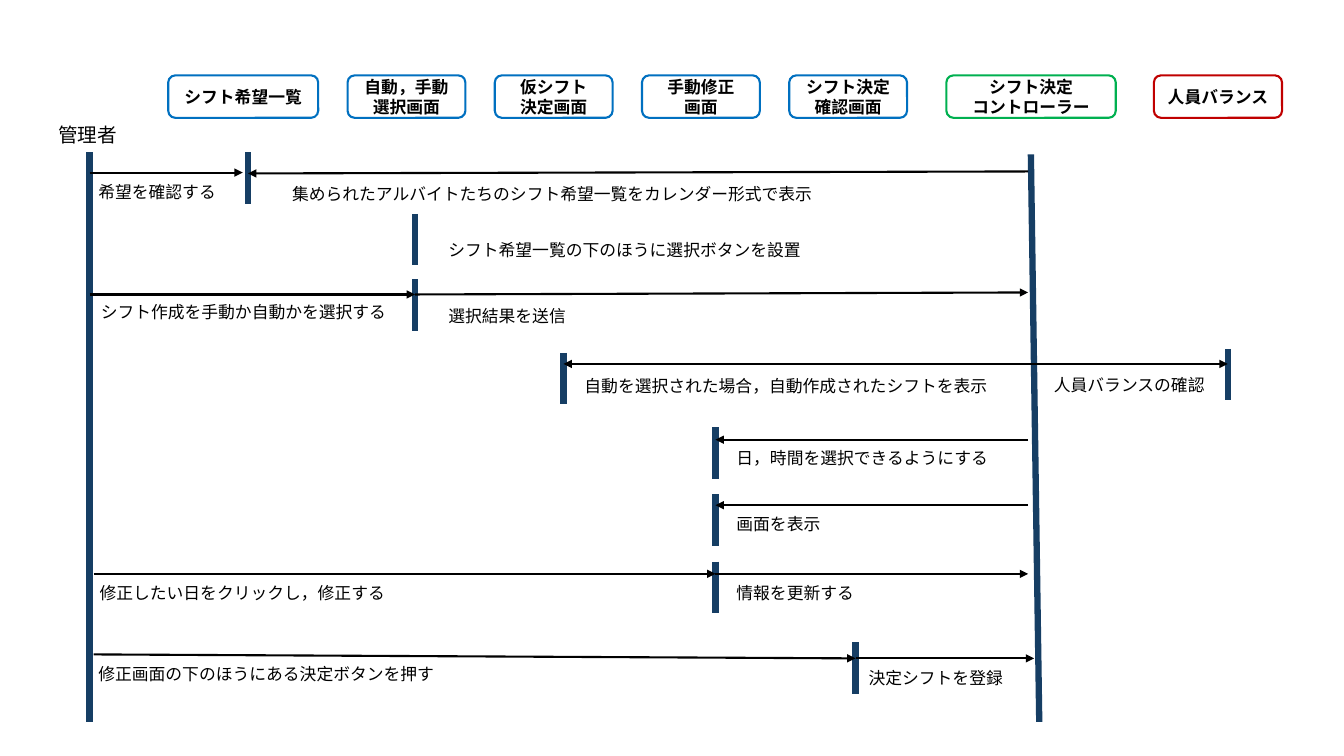
from lxml.etree import SubElement
from pptx import Presentation
from pptx.dml.color import RGBColor
from pptx.enum.shapes import MSO_CONNECTOR, MSO_SHAPE
from pptx.enum.text import MSO_ANCHOR, PP_ALIGN
from pptx.oxml.ns import qn
from pptx.util import Cm, Pt

FONT = "Noto Sans CJK JP"
SCREEN, CONTROL, ENTITY = "0070C0", "00B050", "C00000"
BAR, INK = "163E64", "000000"

# Lifeline positions, in cm from the left of the diagram
X = {"admin": 0, "list": 3.99, "choice": 8.2, "draft": 11.94, "edit": 15.77,
     "confirm": 19.3, "control": 23.65, "balance": 28.68}
BAR_HEIGHT = 1.3
SCREEN_PITCH = 3.71

# Participant: text, left, width, outline
PARTICIPANTS = [("シフト希望一覧", 0, 3.78, SCREEN)]
PARTICIPANTS += [
    (text, 4.52 + i * SCREEN_PITCH, 2.97, SCREEN)
    for i, text in enumerate(["自動，手動\n選択画面", "仮シフト\v決定画面",
                              "手動修正\v画面", "シフト決定\v確認画面"])]
PARTICIPANTS += [("シフト決定\vコントローラー", 19.61, 4.27, CONTROL),
                 ("人員バランス", 24.84, 3.23, ENTITY)]

# Activation bar: lifeline, top
ACTIVATIONS = [("list", 0), ("choice", 1.55), ("choice", 3.2), ("draft", 5.05),
               ("balance", 4.95), ("edit", 6.93), ("edit", 8.61),
               ("edit", 10.31), ("confirm", 12.34)]

# Arrow: start x, start y, end x, end y
ARROWS = [
    (X["admin"], 0.51, 3.86, 0.51),
    (X["control"], 0.48, X["list"], 0.53),
    (X["admin"], 3.58, X["choice"], 3.58),
    (X["choice"], 3.58, X["control"], 3.53),
    (23.72, 5.33, X["draft"], 5.33),
    (20.47, 5.33, X["balance"], 5.33),
    (X["control"], 7.24, X["edit"], 7.24),
    (X["control"], 8.89, X["edit"], 8.89),
    (0.1, 10.62, X["edit"], 10.62),
    (X["edit"], 10.62, X["control"], 10.62),
    (0.1, 12.65, X["confirm"], 12.75),
    (X["confirm"], 12.75, 23.8, 12.75),
]

# Message: text, left, top, width
MESSAGES = [
    ("希望を確認する", -0.03, 0.61, 3.86),
    ("集められたアルバイトたちのシフト希望一覧をカレンダー形式で表示", 4.85, 0.66, 15.01),
    ("シフト希望一覧の下のほうに選択ボタンを設置", 8.79, 2.08, 11.51),
    ("シフト作成を手動か自動かを選択する", 0.03, 3.63, 7.77),
    ("選択結果を送信", 8.79, 3.73, 11.51),
    ("自動を選択された場合，自動作成されたシフトを表示", 12.22, 5.51, 11.51),
    ("人員バランスの確認", 24.05, 5.49, 4.8),
    ("日，時間を選択できるようにする", 16.05, 7.32, 7.57),
    ("画面を表示", 16.05, 8.99, 4.17),
    ("修正したい日をクリックし，修正する", 0, 10.72, 7.77),
    ("情報を更新する", 16.05, 10.72, 4.17),
    ("修正画面の下のほうにある決定ボタンを押す", -0.03, 12.75, 9.65),
    ("決定シフトを登録", 19.38, 12.85, 4.17),
]


def color(value):
    return RGBColor.from_string(value)


def write(sp, text, size=12, align=PP_ALIGN.LEFT, bold=False):
    tf = sp.text_frame
    tf.word_wrap = True
    tf.text = text
    font_format = {"name": FONT, "size": Pt(size), "bold": bold}
    for p in tf.paragraphs:
        p.alignment = align
        p.line_spacing = Pt(size * 1.2)
        for r in p.runs:
            for name, value in font_format.items():
                setattr(r.font, name, value)
            r.font.color.rgb = color(INK)
            SubElement(r.font._element, qn("a:ea"), typeface=FONT)


def add_label(s, text, left, top, width, height=0.76, size=12):
    sp = s.shapes.add_textbox(Cm(left), Cm(top), Cm(width), Cm(height))
    write(sp, text, size)


def add_line(s, x1, y1, x2, y2, stroke, width, arrow=False):
    sp = s.shapes.add_connector(MSO_CONNECTOR.STRAIGHT,
                                Cm(x1), Cm(y1), Cm(x2), Cm(y2))
    sp.line.color.rgb = color(stroke)
    sp.line.width = Pt(width)
    if arrow:
        SubElement(sp.line._get_or_add_ln(), qn("a:tailEnd"), type="triangle")
    SubElement(sp._element.spPr, qn("a:effectLst"))


def draw_participants(s, left, top, height):
    for text, x, width, outline in PARTICIPANTS:
        sp = s.shapes.add_shape(MSO_SHAPE.FLOWCHART_ALTERNATE_PROCESS,
                                Cm(left + x), Cm(top), Cm(width), Cm(height))
        sp.shadow.inherit = False
        sp.fill.background()
        sp.line.color.rgb = color(outline)
        sp.line.width = Pt(1.5)
        sp.text_frame.vertical_anchor = MSO_ANCHOR.MIDDLE
        write(sp, text, align=PP_ALIGN.CENTER, bold=True)


def draw_lifelines(s, left, top, height):
    # Actor and controller run the whole height
    add_label(s, "管理者", left - 1.04, top - 0.87, 2.06, 0.86, 14)
    bottom = top + height
    add_line(s, left, top, left, bottom, BAR, 4.5)
    add_line(s, left + 23.72, top + 0.05, left + 23.93, bottom, BAR, 4.5)
    # Short activation bars
    for name, y in ACTIVATIONS:
        x = left + X[name]
        add_line(s, x, top + y, x, top + y + BAR_HEIGHT, BAR, 4.5)


def draw_messages(s, left, top):
    for x1, y1, x2, y2 in ARROWS:
        add_line(s, left + x1, top + y1, left + x2, top + y2, INK, 1.5, True)
    for text, x, y, width in MESSAGES:
        add_label(s, text, left + x, top + y, width)


def main():
    prs = Presentation()
    prs.slide_width, prs.slide_height = Cm(33.87), Cm(19.05)
    s = prs.slides.add_slide(prs.slide_layouts[6])
    draw_participants(s, 4.24, 1.9, 1.07)
    draw_lifelines(s, 2.26, 3.84, 14.35)
    draw_messages(s, 2.26, 3.84)
    prs.save("out.pptx")


if __name__ == "__main__":
    main()
